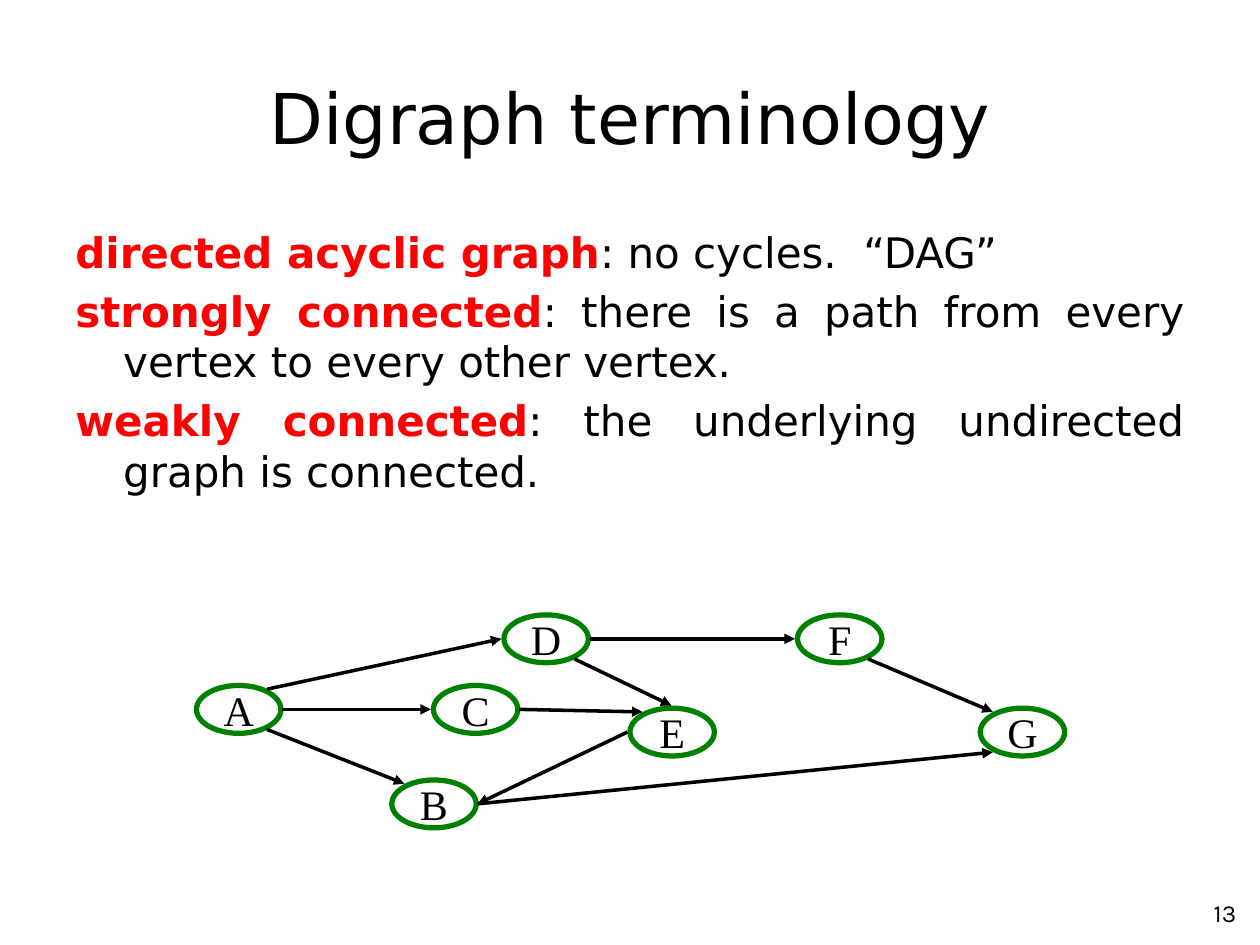
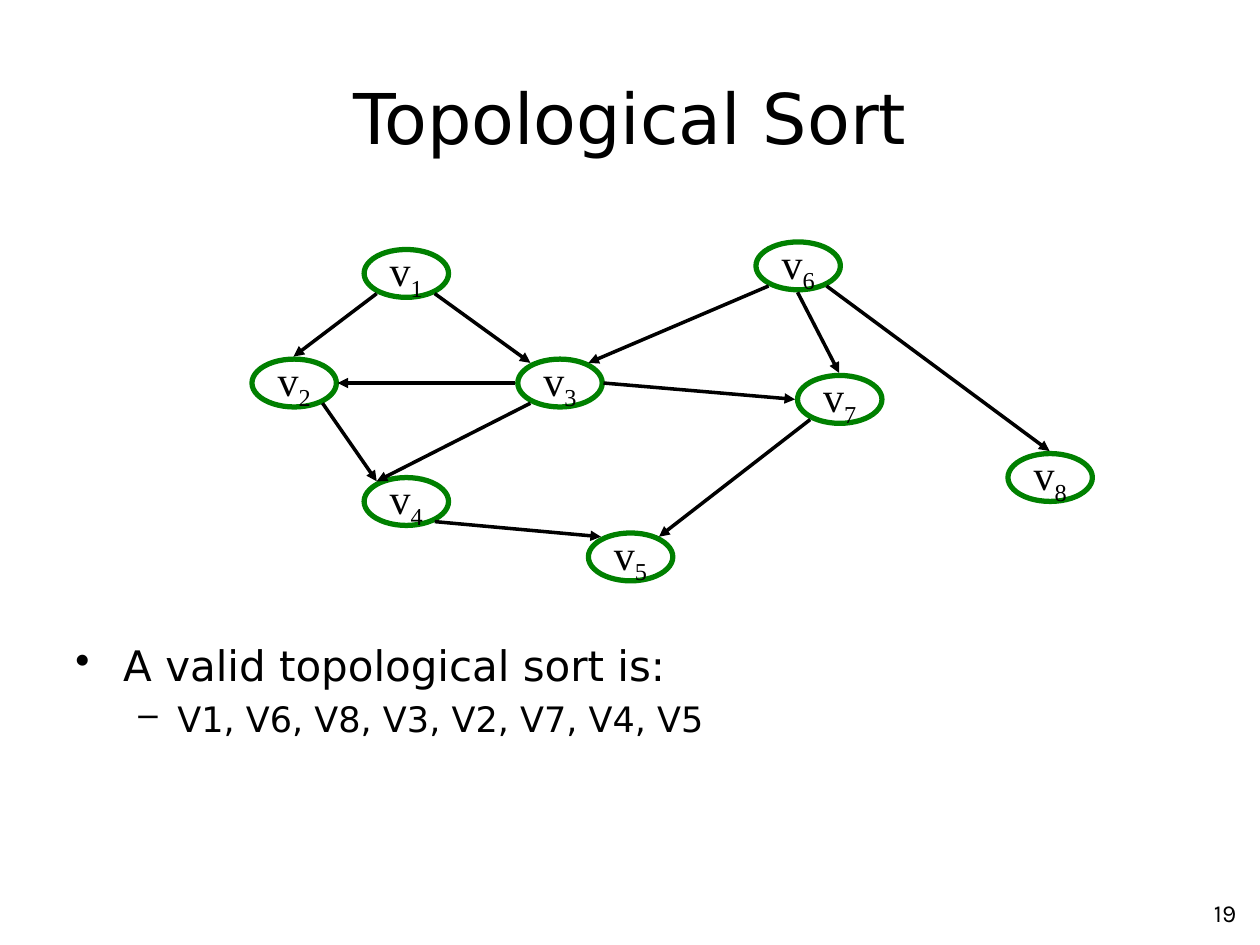
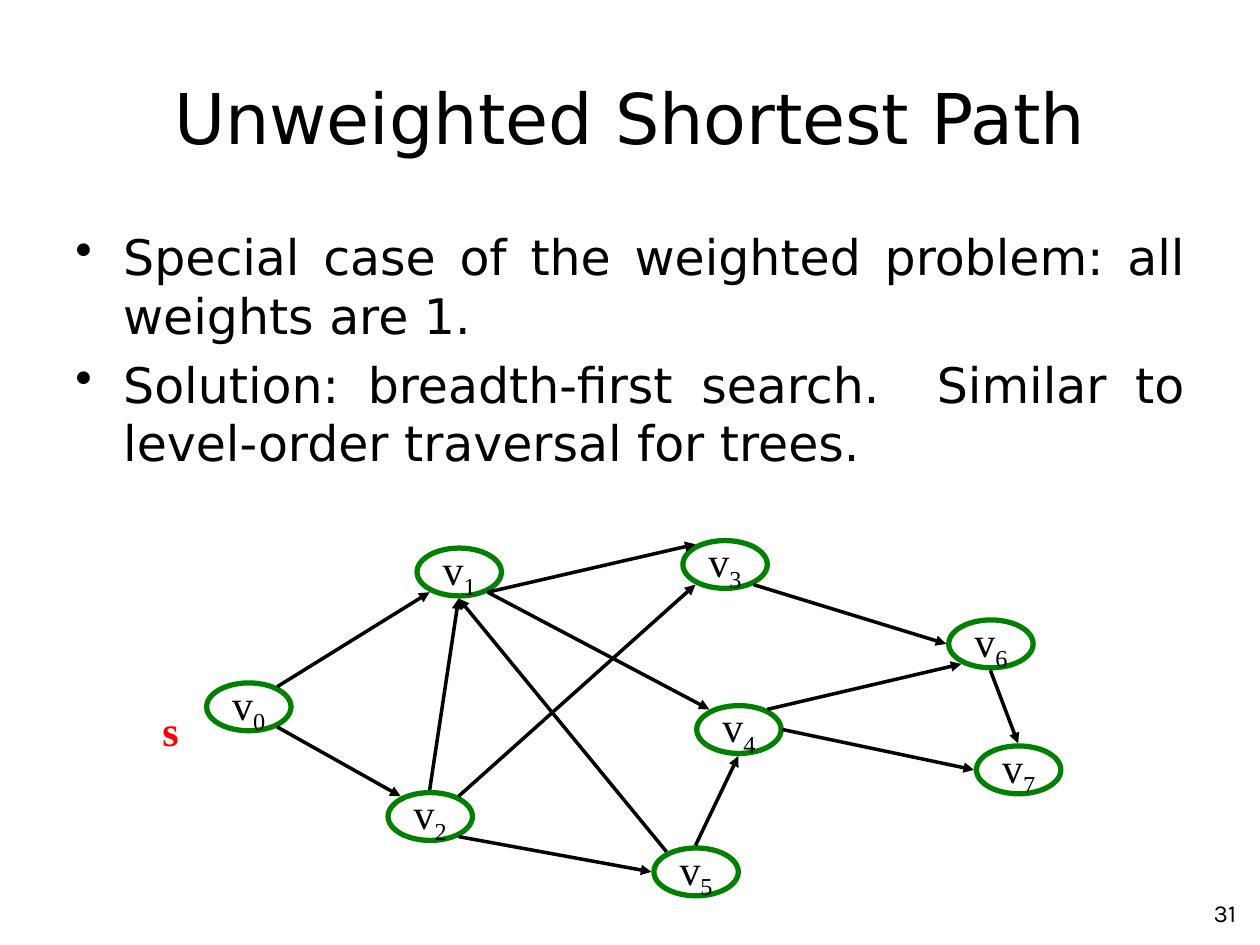
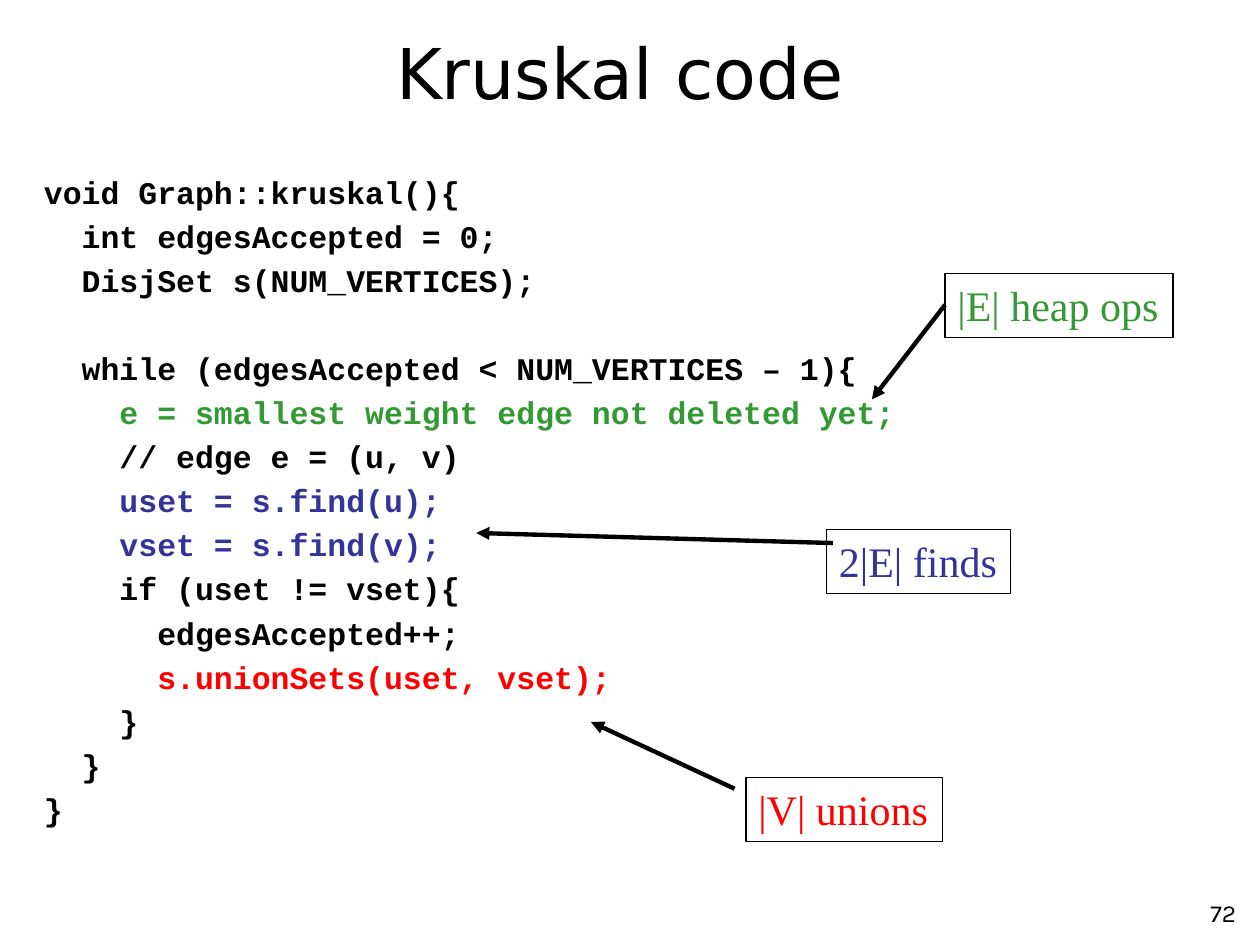
"""Build four slides on graph algorithms: digraphs, sorting, shortest paths and Kruskal."""
from lxml.etree import SubElement
from pptx import Presentation
from pptx.dml.color import RGBColor
from pptx.enum.shapes import MSO_CONNECTOR, MSO_SHAPE
from pptx.enum.text import MSO_ANCHOR, PP_ALIGN
from pptx.oxml.ns import qn
from pptx.util import Pt

PX = 9144
BLACK, RED, GREEN, BLUE, RING = "000000", "FF0000", "339933", "333399", "008000"
SANS, SERIF, MONO, PAGE_FACE = "DejaVu Sans", "Times New Roman", "Courier New", "Karla"
NODE_WIDTH, NODE_HEIGHT = 67, 38
SITES = {"n": (0, -21), "ne": (23, -16), "e": (35, 0), "se": (23, 16),
         "s": (0, 21), "sw": (-23, 16), "w": (-35, 0), "nw": (-23, -16)}
TITLE_AREA, BODY_AREA = (50, 30, 900, 125), (50, 175, 900, 495)
NUMBER_AREA = (783, 708, 208, 37)

colour = RGBColor.from_string


def write(para, spans, size, face=SANS, align=PP_ALIGN.LEFT):
    """Fill a paragraph with (text, colour, bold) spans of one size and face."""
    para.alignment = align
    para.font.size, para.font.name = Pt(size), face
    for text, hue, bold in spans:
        span = para.add_run()
        span.text = text
        span.font.size, span.font.name = Pt(size), face
        span.font.bold, span.font.color.rgb = bold, colour(hue)


def draw_arrow(page, start, end, weight):
    """Draw a black arrow between two points given in px."""
    arrow = page.shapes.add_connector(
        MSO_CONNECTOR.STRAIGHT, *(value * PX for value in (*start, *end)))
    arrow.line.color.rgb = colour(BLACK)
    arrow.line.width = Pt(weight)
    SubElement(arrow.line._get_or_add_ln(), qn("a:tailEnd"), type="triangle")
    SubElement(arrow._element.spPr, qn("a:effectLst"))


def_level = {"plain": (38, -38, None), "bullet": (38, -38, "•"), "dash": (81, -31, "–")}

definitions = [
    ("directed acyclic graph", ": no cycles.  “DAG”"),
    ("strongly connected", ": there is a path from every vertex to every other vertex."),
    ("weakly connected", ": the underlying undirected graph is connected."),
]
lessons = [
    {
        "number": "13", "title": "Digraph terminology", "body_area": BODY_AREA,
        "body": [("plain", 24, [(term, RED, True), (meaning, BLACK, False)])
                 for term, meaning in definitions],
        "nodes": {"C": (344, 544), "D": (400, 488), "A": (156, 544), "B": (311, 619),
                  "E": (500, 562), "F": (633, 488), "G": (778, 562)},
        "edges": ["A e C w", "A ne D w", "C e E nw", "D e F w", "F se G nw",
                  "A se B nw", "E w B e", "B e G sw", "D se E n"],
    },
    {
        "number": "19", "title": "Topological Sort", "body_area": (50, 503, 900, 167),
        "body": [("bullet", 24, [("A valid topological sort is:", BLACK, False)]),
                 ("dash", 20, [("V1, V6, V8, V3, V2, V7, V4, V5", BLACK, False)])],
        "nodes": {"v3": (411, 285), "v6": (600, 192), "v1": (289, 198), "v2": (200, 285),
                  "v4": (289, 379), "v7": (633, 298), "v5": (467, 423), "v8": (800, 360)},
        "edges": ["v1 se v3 nw", "v6 sw v3 ne", "v3 sw v4 nw", "v6 s v7 n",
                  "v7 sw v5 ne", "v1 sw v2 n", "v2 se v4 nw", "v4 se v5 nw",
                  "v3 e v7 w", "v3 w v2 e", "v6 se v8 n"],
    },
    {
        "number": "31", "title": "Unweighted Shortest Path", "body_area": BODY_AREA,
        "body": [("bullet", 28, [(text, BLACK, False)]) for text in (
            "Special case of the weighted problem: all weights are 1.",
            "Solution: breadth-first search.  Similar to level-order traversal for trees.")],
        "nodes": {"v3": (542, 429), "v6": (753, 492), "v1": (331, 435), "v2": (308, 629),
                  "v4": (553, 560), "v7": (775, 592), "v5": (519, 673), "v0": (164, 542)},
        "edges": ["v1 se v3 nw", "v3 se v6 w", "v5 nw v1 s", "v6 s v7 n", "v0 se v2 nw",
                  "v2 n v1 s", "v2 se v5 w", "v5 n v4 s", "v1 se v4 nw", "v2 ne v3 sw",
                  "v0 ne v1 sw", "v4 e v7 w", "v4 ne v6 sw"],
    },
    {"number": "72", "title": "Kruskal code", "title_area": (67, 19, 850, 75)},
]

deck = Presentation()
deck.slide_width, deck.slide_height = 1000 * PX, 750 * PX
pages = []

for lesson in lessons:
    page = deck.slides.add_slide(deck.slide_layouts[5])
    pages.append(page)
    title = page.shapes.title
    title.left, title.top, title.width, title.height = (
        value * PX for value in lesson.get("title_area", TITLE_AREA))
    title.text_frame.vertical_anchor = MSO_ANCHOR.MIDDLE
    write(title.text_frame.paragraphs[0], [(lesson["title"], BLACK, False)], 40,
          align=PP_ALIGN.CENTER)
    number = page.shapes.add_textbox(*(value * PX for value in NUMBER_AREA))
    number.text_frame.word_wrap = True
    write(number.text_frame.paragraphs[0], [(lesson["number"], BLACK, False)], 14,
          PAGE_FACE, PP_ALIGN.RIGHT)

    if "body" in lesson:
        body = page.shapes.add_textbox(*(value * PX for value in lesson["body_area"]))
        body.text_frame.word_wrap = True
        for index, (level, size, spans) in enumerate(lesson["body"]):
            para = body.text_frame.add_paragraph() if index else body.text_frame.paragraphs[0]
            left, hang, mark = def_level[level]
            layout = para._p.get_or_add_pPr()
            layout.set("marL", str(left * PX))
            layout.set("indent", str(hang * PX))
            if mark:
                SubElement(layout, qn("a:buChar"), char=mark)
            para.line_spacing, para.space_before = Pt(size * 1.2), Pt(size * 0.2)
            write(para, spans, size, align=PP_ALIGN.JUSTIFY)

    nodes = lesson.get("nodes", {})
    for name, (left, top) in nodes.items():
        node = page.shapes.add_shape(MSO_SHAPE.OVAL, left * PX, top * PX,
                                     NODE_WIDTH * PX, NODE_HEIGHT * PX)
        node.shadow.inherit = False
        node.fill.background()
        node.line.color.rgb, node.line.width = colour(RING), Pt(3)
        node.text_frame.word_wrap = False
        node.text_frame.vertical_anchor = MSO_ANCHOR.MIDDLE
        para = node.text_frame.paragraphs[0]
        write(para, [(letter, BLACK, False) for letter in name], 24, SERIF, PP_ALIGN.CENTER)
        for subscript in para.runs[1:]:
            subscript._r.get_or_add_rPr().set("baseline", "-25000")

    for edge in lesson.get("edges", []):
        source, exit_site, target, entry_site = edge.split()
        start, end = (
            (nodes[name][0] + NODE_WIDTH // 2 + SITES[site][0],
             nodes[name][1] + NODE_HEIGHT // 2 + SITES[site][1])
            for name, site in ((source, exit_site), (target, entry_site)))
        draw_arrow(page, start, end, 2)

path_page, code_page = pages[2:]
source_label = path_page.shapes.add_textbox(119 * PX, 554 * PX, 33 * PX, 50 * PX)
source_label.text_frame.word_wrap = False
write(source_label.text_frame.paragraphs[0], [("s", RED, True)], 24, SERIF)

code_lines = [
    (0, "void Graph::kruskal(){", BLACK),
    (1, "int edgesAccepted = 0;", BLACK),
    (1, "DisjSet s(NUM_VERTICES);", BLACK),
    (1, "while (edgesAccepted < NUM_VERTICES – 1){", BLACK),
    (2, "e = smallest weight edge not deleted yet;", GREEN),
    (2, "// edge e = (u, v)", BLACK),
    (2, "uset = s.find(u);", BLUE),
    (2, "vset = s.find(v);", BLUE),
    (2, "if (uset != vset){", BLACK),
    (3, "edgesAccepted++;", BLACK),
    (3, "s.unionSets(uset, vset);", RED),
    (2, "}", BLACK),
    (1, "}", BLACK),
    (0, "}", BLACK),
]
code = code_page.shapes.add_textbox(25 * PX, 132 * PX, 903 * PX, 562 * PX)
code.text_frame.word_wrap = True
for index, (depth, text, hue) in enumerate(code_lines):
    para = code.text_frame.add_paragraph() if index else code.text_frame.paragraphs[0]
    para._p.get_or_add_pPr().set("marL", str(depth * 30 * PX))
    para.line_spacing = Pt(21.6)
    para.space_before = Pt(28.8 if text.startswith("while") else 3.6)
    write(para, [(text, hue, True)], 18, MONO, PP_ALIGN.JUSTIFY)

costs = [
    ("2|E| finds", BLUE, (656, 420, 146, 51), (661, 431), (378, 423)),
    ("|V| unions", RED, (592, 617, 156, 51), (583, 626), (469, 573)),
    ("|E| heap ops", GREEN, (750, 217, 181, 51), (750, 242), (692, 317)),
]
for text, hue, area, start, end in costs:
    cost = code_page.shapes.add_shape(MSO_SHAPE.RECTANGLE, *(value * PX for value in area))
    cost.shadow.inherit = False
    cost.fill.background()
    cost.line.color.rgb, cost.line.width = colour(BLACK), Pt(0.75)
    cost.text_frame.word_wrap = False
    cost.text_frame.vertical_anchor = MSO_ANCHOR.TOP
    write(cost.text_frame.paragraphs[0], [(text, hue, False)], 24, SERIF)
    draw_arrow(code_page, start, end, 2.5)

deck.save("out.pptx")
